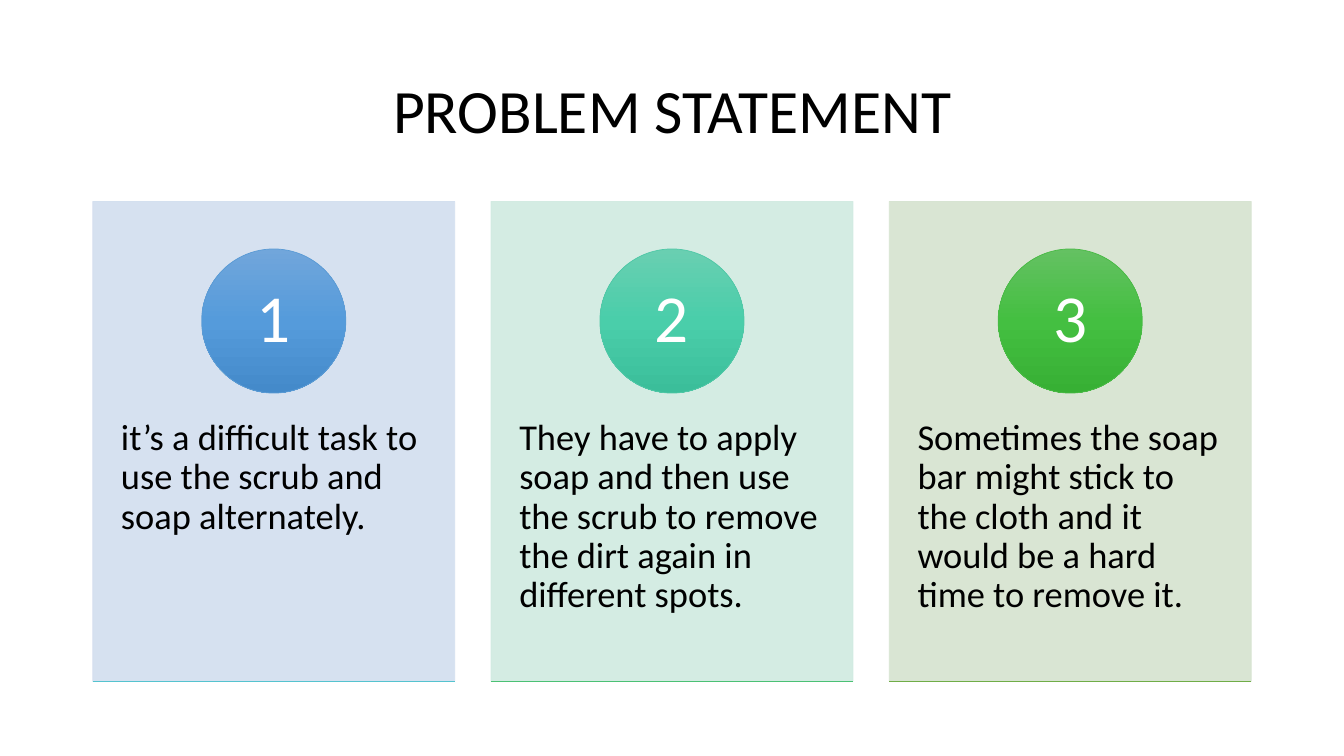
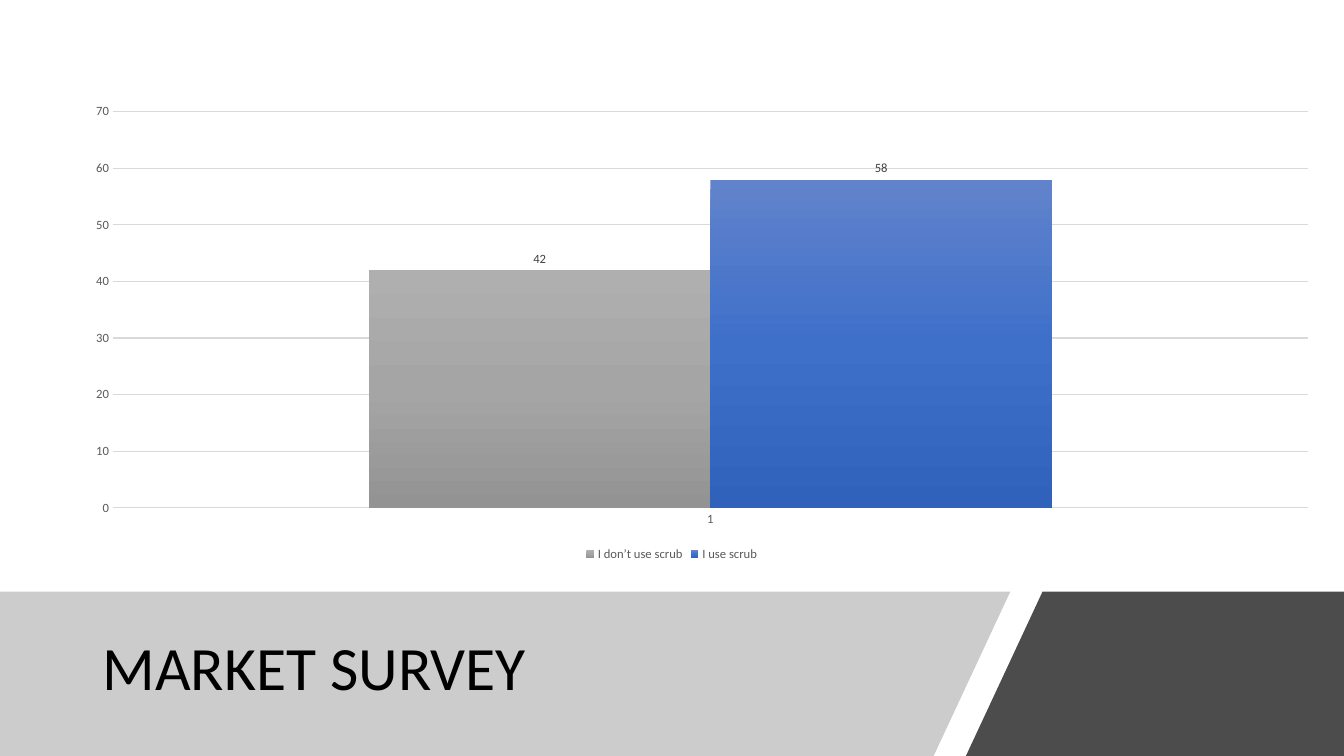
from copy import deepcopy
from lxml import etree
from pptx import Presentation
from pptx.chart.data import CategoryChartData
from pptx.dml.color import RGBColor
from pptx.enum.chart import XL_CHART_TYPE, XL_LABEL_POSITION, XL_LEGEND_POSITION, XL_TICK_MARK
from pptx.enum.shapes import MSO_CONNECTOR, MSO_SHAPE
from pptx.enum.text import MSO_ANCHOR, PP_ALIGN
from pptx.oxml import parse_xml
from pptx.oxml.ns import nsdecls, qn
from pptx.util import Inches, Pt

COLUMN = XL_CHART_TYPE.COLUMN_CLUSTERED
ABOVE = XL_LABEL_POSITION.OUTSIDE_END
BOTTOM = XL_LEGEND_POSITION.BOTTOM
NO_TICK = XL_TICK_MARK.NONE
RECT, OVAL = MSO_SHAPE.RECTANGLE, MSO_SHAPE.OVAL
STRAIGHT = MSO_CONNECTOR.STRAIGHT
TOP, MIDDLE = MSO_ANCHOR.TOP, MSO_ANCHOR.MIDDLE
LEFT, CENTER = PP_ALIGN.LEFT, PP_ALIGN.CENTER


class Theme:
    font = "Calibri"
    title, number, body, chart, small = 44, 48, 26, 10, 9
    black, white, gray = "000000", "FFFFFF", "808080"
    axis, label, grid = "595959", "404040", "D9D9D9"
    hair = 0.5


# Content
PROBLEM = "PROBLEM STATEMENT"
CARDS = [  # text, panel, circle gradient, circle line, base line
    ("it’s a difficult task to use the scrub and soap alternately.",
     "D2DEEF", ("71A6DB", "559BDB", "448ACA"), "5B9BD5", "55C3CF"),
    ("They have to apply soap and then use the scrub to remove the dirt "
     "again in different spots.",
     "D0EAE1", ("69CFB1", "4ACEAA", "3BBE9A"), "50C8A7", "4BC174"),
    ("Sometimes the soap bar might stick to the cloth and it would be a "
     "hard time to remove it.",
     "D5E3CF", ("64C162", "44BF41", "37B034"), "4ABA46", "70AD47"),
]
SURVEY = "MARKET SURVEY"
CATS = ["1"]
SERIES = [
    ("I don’t use scrub", [42], ("AFAFAF", "A5A5A5", "939393")),
    ("I use scrub", [58], ("6183CB", "3E70CA", "3062BB")),
]

# Places, in inches
WIDE, HIGH = 13.33, 7.5
CARD_X, CARD_Y, CARD_W, CARD_H, STEP = 0.92, 2, 3.59, 4.76, 3.95
DISC, DISC_Y = 1.43, 2.47
BAND_Y = 5.87
BANDS = [  # corners, colour, opacity in percent
    ([(0, BAND_Y), (10.02, BAND_Y), (9.26, HIGH), (0, HIGH)], Theme.gray, 40),
    ([(10.34, BAND_Y), (WIDE, BAND_Y), (WIDE, HIGH), (9.58, HIGH)],
     Theme.black, 70),
]
PLOT = {"x": 0.061, "y": 0.157, "w": 0.939, "h": 0.736}


def rgb(code):
    return RGBColor.from_string(code)


def style(font, size, color):
    font.name, font.size = Theme.font, Pt(size)
    font.color.rgb = rgb(color)


def fade(shape, percent):
    for color in shape._element.spPr.iter(qn("a:srgbClr")):
        etree.SubElement(color, qn("a:alpha")).set("val", str(percent * 1000))


def shade(fill, node, colors):
    """Vertical gradient with three even stops."""
    fill.gradient()
    fill.gradient_angle = 270
    stops = node.find(".//" + qn("a:gsLst"))
    stops.insert(1, deepcopy(stops[0]))
    for i, (stop, color) in enumerate(zip(fill.gradient_stops, colors)):
        stop.color.rgb = rgb(color)
        stop.position = i / 2


def write(shape, text, size, color, align, anchor, pads=(0.1, 0.05, 0.1, 0.05)):
    frame = shape.text_frame
    frame.word_wrap = True
    frame.vertical_anchor = anchor
    (frame.margin_left, frame.margin_top,
     frame.margin_right, frame.margin_bottom) = map(Inches, pads)
    frame.text = text
    para = frame.paragraphs[0]
    para.alignment, para.line_spacing = align, 0.9
    style(para.runs[0].font, size, color)


def add_title(slide, text, box, align):
    shape = slide.shapes.add_textbox(*map(Inches, box))
    write(shape, text, Theme.title, Theme.black, align, MIDDLE)


def add_block(slide, kind, box, edge):
    shape = slide.shapes.add_shape(kind, *map(Inches, box))
    shape.shadow.inherit = False
    shape.line.color.rgb = rgb(edge)
    shape.line.width = Pt(Theme.hair)
    return shape


def add_card(slide, i, text, tint, colors, edge, base):
    x = CARD_X + i * STEP
    panel = add_block(slide, RECT, (x, CARD_Y, CARD_W, CARD_H), tint)
    panel.fill.solid()
    panel.fill.fore_color.rgb = rgb(tint)
    fade(panel, 90)
    write(panel, text, Theme.body, Theme.black, LEFT, TOP,
          (0.28, 2.16, 0.28, 0.46))

    disc = add_block(slide, OVAL,
                     (x + (CARD_W - DISC) / 2, DISC_Y, DISC, DISC), edge)
    shade(disc.fill, disc._element.spPr, colors)
    write(disc, str(i + 1), Theme.number, Theme.white, CENTER, MIDDLE,
          (0.11, 0.01, 0.11, 0.01))

    low = CARD_Y + CARD_H
    line = slide.shapes.add_connector(
        STRAIGHT, *map(Inches, (x, low, x + CARD_W, low)))
    line.line.color.rgb = rgb(base)
    line.line.width = Pt(Theme.hair)
    etree.SubElement(line._element.spPr, qn("a:effectLst"))


def add_band(slide, points, color, percent):
    start, *rest = [tuple(map(Inches, point)) for point in points]
    path = slide.shapes.build_freeform(*start)
    path.add_line_segments(rest, close=True)
    band = path.convert_to_shape()
    band.shadow.inherit = False
    band.fill.solid()
    band.fill.fore_color.rgb = rgb(color)
    band.line.fill.background()
    fade(band, percent)


def add_survey(slide):
    data = CategoryChartData()
    data.categories = CATS
    for name, values, _ in SERIES:
        data.add_series(name, values)
    chart = slide.shapes.add_chart(
        COLUMN, *map(Inches, (0.35, 0.27, 12.63, 5.34)), data).chart
    style(chart.font, Theme.chart, Theme.black)
    chart.has_title = False
    chart.has_legend = True
    chart.legend.position = BOTTOM
    chart.legend.include_in_layout = False
    style(chart.legend.font, Theme.small, Theme.axis)

    # Axes
    for axis in (chart.category_axis, chart.value_axis):
        axis.major_tick_mark = axis.minor_tick_mark = NO_TICK
        style(axis.tick_labels.font, Theme.small, Theme.axis)
    chart.category_axis.format.line.color.rgb = rgb(Theme.grid)
    chart.category_axis.format.line.width = Pt(1)
    chart.value_axis.format.line.fill.background()
    grid = chart.value_axis.major_gridlines.format.line
    grid.color.rgb = rgb(Theme.grid)
    grid.width = Pt(0.75)

    # Columns
    plot = chart.plots[0]
    plot.gap_width, plot.overlap = 150, 0
    plot.vary_by_categories = False
    plot.has_data_labels = True
    labels = plot.data_labels
    labels.show_value, labels.position = True, ABOVE
    style(labels.font, Theme.small, Theme.label)
    for series, (_, _, colors) in zip(plot.series, SERIES):
        shade(series.format.fill, series._element, colors)

    # Fixed plot area
    sides = "".join(f'<c:{k} val="{v}"/>' for k, v in PLOT.items())
    area = chart._chartSpace.chart.plotArea
    for old in area.findall(qn("c:layout")):
        area.remove(old)
    area.insert(0, parse_xml(
        f'<c:layout {nsdecls("c")}><c:manualLayout>'
        '<c:layoutTarget val="inner"/><c:xMode val="edge"/>'
        f'<c:yMode val="edge"/>{sides}</c:manualLayout></c:layout>'))


def main():
    deck = Presentation()
    deck.slide_width, deck.slide_height = Inches(WIDE), Inches(HIGH)
    blank = deck.slide_layouts[6]

    # Problem statement
    slide = deck.slides.add_slide(blank)
    add_title(slide, PROBLEM, (0.92, 0.4, 11.5, 1.45), CENTER)
    for i, card in enumerate(CARDS):
        add_card(slide, i, *card)

    # Market survey
    slide = deck.slides.add_slide(blank)
    for band in BANDS:
        add_band(slide, *band)
    add_title(slide, SURVEY, (0.92, 6.05, 8.44, 1.2), LEFT)
    add_survey(slide)

    deck.save("out.pptx")


if __name__ == "__main__":
    main()
